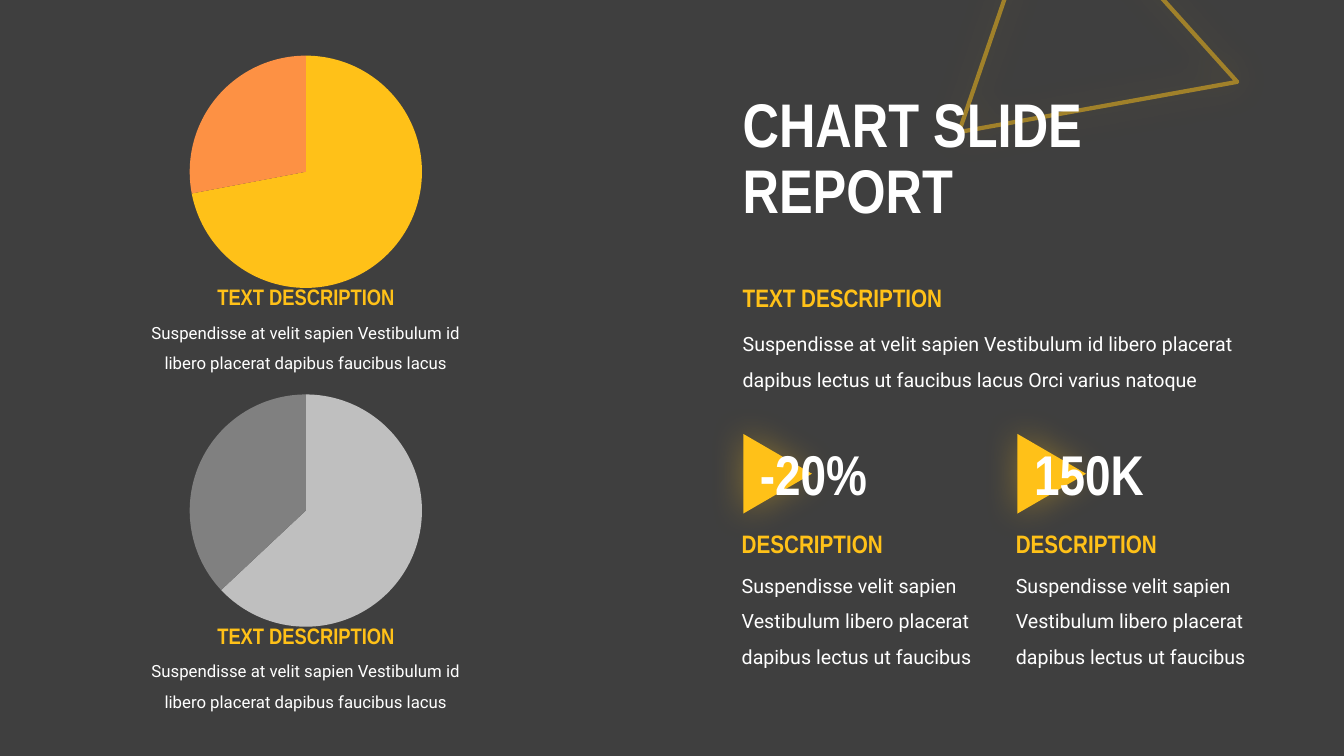
from lxml import etree
from pptx import Presentation
from pptx.chart.data import CategoryChartData
from pptx.dml.color import RGBColor
from pptx.enum.chart import XL_CHART_TYPE as ChartType
from pptx.enum.shapes import MSO_SHAPE as Preset
from pptx.enum.text import MSO_ANCHOR as Anchor, MSO_AUTO_SIZE as AutoSize, PP_ALIGN as Align
from pptx.oxml import parse_xml
from pptx.oxml.ns import nsdecls, qn
from pptx.util import Pt

DARK, GOLD, WHITE = "3F3F3F", "FFC118", "FFFFFF"
HEADING, BODY = "Arial Narrow", "Roboto"


def color(hex_code):
    return RGBColor.from_string(hex_code)


def paint(fill, hex_code, opacity=100):
    fill.solid()
    fill.fore_color.rgb = color(hex_code)
    if opacity < 100:
        tint = fill._xPr.find(f"{qn('a:solidFill')}/{qn('a:srgbClr')}")
        etree.SubElement(tint, qn("a:alpha")).set("val", str(opacity * 1000))


def add_glow(shape):
    shape._element.spPr.append(parse_xml(
        f'<a:effectLst {nsdecls("a")}><a:outerShdw blurRad="{Pt(25)}" dist="0" dir="0" '
        f'algn="ctr" rotWithShape="0"><a:srgbClr val="{GOLD}"><a:alpha val="35000"/>'
        '</a:srgbClr></a:outerShdw></a:effectLst>'))


def add_preset(slide, preset, left, top, width, height):
    return slide.shapes.add_shape(preset, Pt(left), Pt(top), Pt(width), Pt(height))


def add_text(slide, text, left, top, width, height, size=14, font=BODY, ink=WHITE,
             bold=False, align=Align.LEFT, spacing=None, anchor=Anchor.TOP, grow=True):
    box = slide.shapes.add_textbox(Pt(left), Pt(top), Pt(width), Pt(height))
    frame = box.text_frame
    frame.word_wrap = True
    frame.auto_size = AutoSize.SHAPE_TO_FIT_TEXT if grow else AutoSize.NONE
    frame.vertical_anchor = anchor
    paragraph = frame.paragraphs[0]
    paragraph.text = text
    paragraph.alignment = align
    if spacing:
        paragraph.line_spacing = spacing
    for run in paragraph.runs:
        run.font.size = Pt(size)
        run.font.name = font
        run.font.bold = bold
        run.font.color.rgb = color(ink)


def add_heading(slide, text, left, top, width, height, **style):
    add_text(slide, text, left, top, width, height,
             **{"size": 18, "font": HEADING, "ink": GOLD, "bold": True, **style})


def add_backdrop(slide, width, height):
    paint(slide.background.fill, DARK)
    panel = add_preset(slide, Preset.RECTANGLE, 0, 0, width, height)
    panel.shadow.inherit = False
    paint(panel.fill, DARK, 90)
    panel.line.fill.background()

    ornament = add_preset(slide, Preset.ISOSCELES_TRIANGLE, 702, -58.3, 196.6, 176.4)
    ornament.rotation = 108.9
    ornament.fill.background()
    ornament.line.width = Pt(3)
    paint(ornament.line.fill, GOLD, 50)
    add_glow(ornament)


def add_pie(slide, left, top, width, height, values, slice_colors):
    data = CategoryChartData()
    data.categories = ["1", "2"]
    data.add_series("Series 1", values)
    chart = slide.shapes.add_chart(ChartType.PIE, Pt(left), Pt(top), Pt(width), Pt(height),
                                   data).chart
    chart.has_title = False
    chart.has_legend = False
    chart.font.size = Pt(10)
    chart.font.name = BODY
    chart.font.color.rgb = color(WHITE)
    plot = chart.plots[0]
    plot.vary_by_categories = True
    for index, slice_color in enumerate(slice_colors):
        piece = plot.series[0].points[index].format
        paint(piece.fill, slice_color)
        piece.line.fill.background()

    plot_area = chart._chartSpace.chart.plotArea
    for layout in plot_area.findall(qn("c:layout")):
        plot_area.remove(layout)
    plot_area.insert(0, parse_xml(
        f'<c:layout {nsdecls("c")}><c:manualLayout><c:layoutTarget val="inner"/>'
        '<c:xMode val="edge"/><c:yMode val="edge"/><c:x val="0.167"/><c:y val="0.055"/>'
        '<c:w val="0.666"/><c:h val="0.89"/></c:manualLayout></c:layout>'))


def add_pie_card(slide, left, top, width, values, slice_colors):
    add_pie(slide, left, top, width, 186.5, values, slice_colors)
    add_text(slide, "Suspendisse at velit sapien Vestibulum id libero placerat "
             "dapibus faucibus lacus", left, top + 190, width, 48,
             size=12, align=Align.CENTER, spacing=1.5)
    heading_width = 176.4
    add_heading(slide, "TEXT DESCRIPTION", left + (width - heading_width) / 2, top + 169.2,
                heading_width, 26.6, size=16, align=Align.CENTER)


def add_intro(slide, left, top):
    add_heading(slide, "CHART SLIDE\vREPORT", left, top, 404.6, 113.8, size=44, ink=WHITE,
                spacing=0.9, anchor=Anchor.MIDDLE, grow=False)
    add_text(slide, "Suspendisse at velit sapien Vestibulum id libero placerat dapibus "
             "lectus ut faucibus lacus Orci varius natoque",
             left, top + 167.8, 369.4, 55.4, spacing=1.5)
    add_heading(slide, "TEXT DESCRIPTION", left, top + 140.4, 176.4, 28.8)


def add_stat(slide, left, top, figure):
    marker = add_preset(slide, Preset.ISOSCELES_TRIANGLE, left + 4.3, top + 3.6, 56.9, 49)
    marker.rotation = 90
    paint(marker.fill, GOLD)
    marker.line.fill.background()
    add_glow(marker)
    add_text(slide, "Suspendisse velit sapien Vestibulum libero placerat dapibus lectus "
             "ut faucibus", left, top + 87.8, 202.3, 80.6, spacing=1.5)
    add_heading(slide, "DESCRIPTION", left, top + 63.4, 176.4, 28.8)
    add_heading(slide, figure, left + 13, top, 128.9, 55.4, size=40, ink=WHITE)


def main():
    deck = Presentation()
    deck.slide_width, deck.slide_height = Pt(960), Pt(540)
    slide = deck.slides.add_slide(deck.slide_layouts[6])
    add_backdrop(slide, 437, 540)
    pies = [((72, 28), (GOLD, "FD9144")), ((63, 37), ("BFBFBF", "808080"))]
    for row, (values, slice_colors) in enumerate(pies):
        add_pie_card(slide, 93.6, 29.5 + row * 242, 249.8, values, slice_colors)
    add_intro(slide, 523.4, 57.6)
    for column, figure in enumerate(["-20%", "150K"]):
        add_stat(slide, 522.7 + column * 195.8, 310.3, figure)
    deck.save("out.pptx")


if __name__ == "__main__":
    main()
